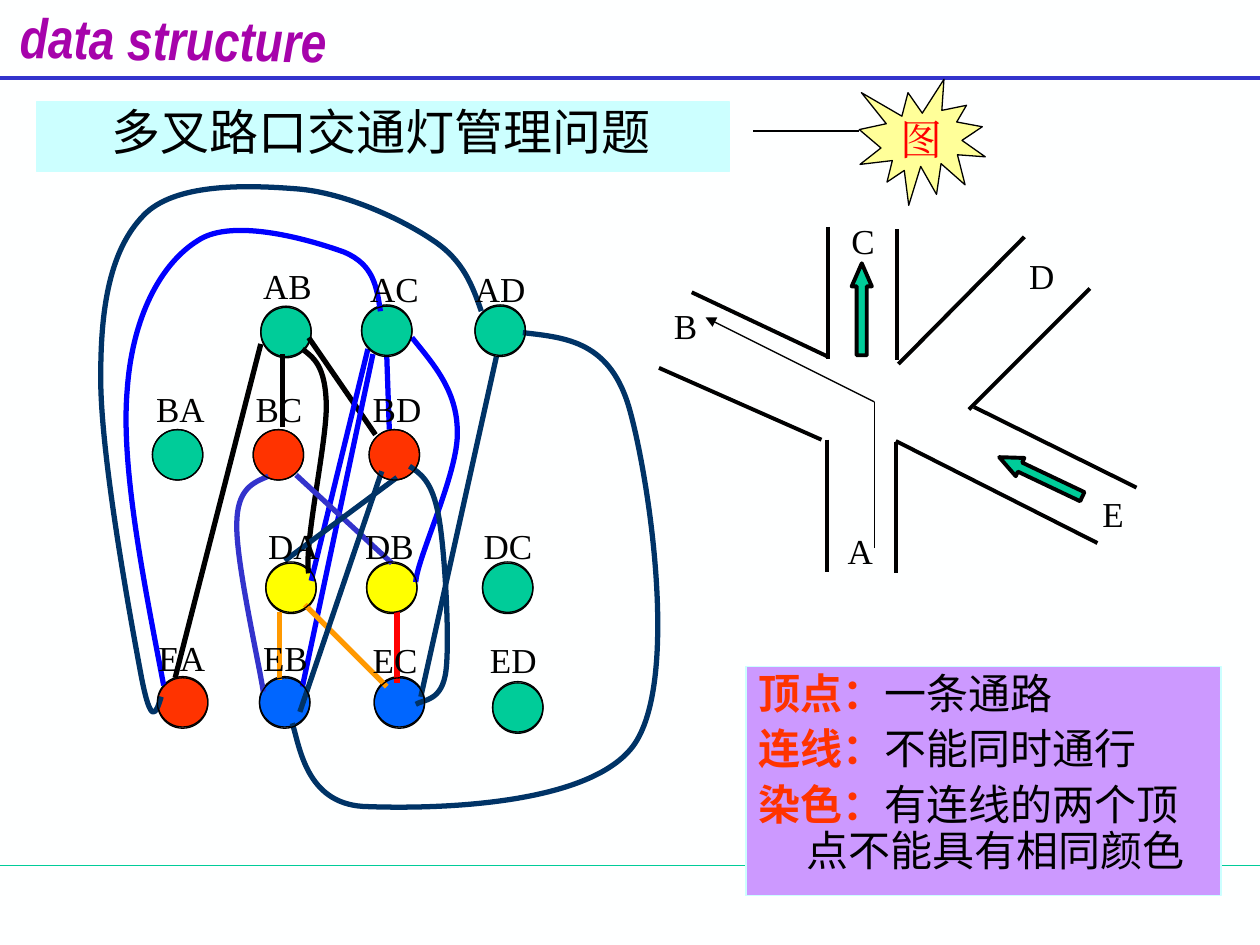
from dataclasses import dataclass

from lxml.etree import SubElement
from pptx import Presentation
from pptx.dml.color import RGBColor
from pptx.enum.shapes import MSO_CONNECTOR, MSO_SHAPE
from pptx.enum.text import MSO_ANCHOR, MSO_AUTO_SIZE, PP_ALIGN
from pptx.oxml.ns import qn
from pptx.util import Inches, Pt


@dataclass(frozen=True)
class Theme:
    paper: str = "FEFFFF"
    ink: str = "000000"
    title: str = "A603AB"
    header_rule: str = "3333CC"
    green: str = "00CC99"
    red: str = "FF3300"
    yellow: str = "FFFF00"
    sky: str = "0066FF"
    blue: str = "0000FF"
    navy: str = "003366"
    orange: str = "FF9900"
    bright_red: str = "FF0000"
    pale_cyan: str = "CCFFFF"
    pale_yellow: str = "FFFF99"
    violet: str = "CC99FF"
    latin: str = "Times New Roman"
    narrow: str = "Arial Narrow"
    chinese: str = "Noto Sans CJK SC"
    title_size: int = 32
    heading_size: int = 28
    body_size: int = 24
    label_size: int = 20
    hairline: float = 0.75
    road: float = 2.25
    edge: float = 3


THEME = Theme()
COLUMNS, ROWS = 100, 75
WIDTH, HEIGHT = Inches(10), Inches(7.5)
NODE_SIZE = 4
LABEL_HEIGHT = 4.4
LETTER_WIDTHS = {"A": 2, "B": 1.85, "C": 1.85, "D": 2, "E": 1.7}

NODES = [
    ("AB", THEME.green, 20.7, 24.4, 24.3, 19.9, 20.5),
    ("AC", THEME.green, 28.7, 24.2, 24.3, 28.4, 20.7),
    ("AD", THEME.green, 37.7, 24.2, 24.3, 36.7, 20.7),
    ("BA", THEME.green, 12.1, 34.1, 34.1, 11.4, 30.3),
    ("BC", THEME.red, 20.1, 34.1, 34.1, 19.3, 30.3),
    ("BD", THEME.red, 29.3, 34.1, 34.1, 28.6, 30.3),
    ("DA", THEME.yellow, 21.1, 44.7, 44.6, 20.3, 41.1),
    ("DB", THEME.yellow, 29.1, 44.7, 44.6, 28, 41.1),
    ("DC", THEME.green, 38.3, 44.7, 44.6, 37.4, 41.1),
    ("EA", THEME.red, 12.5, 53.7, 53.8, 11.6, 50),
    ("EB", THEME.sky, 20.6, 53.7, 53.8, 19.9, 50),
    ("EC", THEME.sky, 29.7, 53.7, 53.8, 28.6, 50.2),
    ("ED", THEME.green, 39.1, 54.2, 54.1, 37.9, 50.2),
]

EDGES = [
    (THEME.ink, [(20.7, 27.3), (13.9, 53.8)]),
    (THEME.ink, [(22.4, 28.1), (22.4, 33.9)]),
    (THEME.ink, [(24, 27.7), (24.9, 28.4), (25.8, 29), (25.9, 32),
                 (26, 34.9), (24.1, 43.2), (24.5, 45.5)]),
    (THEME.ink, [(24.5, 26.8), (29.8, 34.5)]),
    (THEME.blue, [(30.2, 24.7), (29.9, 22.8), (29.7, 21), (27.3, 20),
                  (24.8, 19.1), (18.5, 17.2), (15.7, 19.1),
                  (12.8, 20.9), (10.5, 25.1), (10.1, 31),
                  (9.6, 36.9), (11.3, 45.6), (13, 54.4)]),
    (THEME.blue, [(30.7, 28.3), (30.9, 34.1)]),
    (THEME.blue, [(32.7, 26.8), (34.4, 28.9), (36.3, 31), (36.3, 34.3),
                  (36.4, 37.5), (33.1, 44.3), (33, 46.2)]),
    (THEME.blue, [(29.2, 27.7), (24.7, 46.1)]),
    (THEME.blue, [(29.6, 28.1), (24, 54.5)]),
    (THEME.navy, [(38.2, 24.7), (37.5, 22.7), (36.8, 20.7), (34.4, 19.1),
                  (31.9, 17.4), (27.4, 15.3), (23.6, 15),
                  (19.8, 14.7), (14.2, 14.5), (11.6, 16.9),
                  (9, 19.4), (8, 23.6), (8, 29.7),
                  (7.9, 35.8), (10.4, 49.3), (11.2, 53.6),
                  (12, 57.8), (12.4, 56.6), (12.8, 55.3)]),
    (THEME.navy, [(39.4, 28.3), (33.4, 55.3)]),
    (THEME.navy, [(41.5, 26.4), (45, 26.8), (48.5, 27.1), (50, 32.6),
                  (51.5, 38), (53.9, 53.7), (50.4, 59),
                  (46.9, 64.2), (33.3, 64.2), (28.8, 64),
                  (24.3, 63.7), (23.8, 59.3), (23.2, 57.4)]),
    (THEME.header_rule, [(23.5, 37.7), (31.1, 44.7)]),
    (THEME.header_rule, [(21.3, 37.8), (20.1, 38.3), (18.8, 38.8), (18.8, 41.6),
                         (18.7, 44.5), (20.6, 52.8), (20.9, 54.9)]),
    (THEME.orange, [(22.2, 48.6), (22.2, 54)]),
    (THEME.orange, [(24.2, 48), (30.7, 54.5)]),
    (THEME.bright_red, [(31.5, 48.6), (31.5, 54.2)]),
    (THEME.navy, [(22.6, 44.5), (31.5, 37.9)]),
    (THEME.navy, [(32.5, 37), (33.4, 37.6), (34.3, 38.2), (34.8, 40.9),
                  (35.3, 43.5), (35.7, 50.7), (35.4, 53.2),
                  (35.1, 55.7), (33.6, 55.5), (33, 55.9)]),
    (THEME.navy, [(30.3, 37.4), (23.8, 56.5)]),
]

ROADSIDES = [
    ((65.7, 18), (65.7, 28.5)), ((71.2, 18.2), (71.2, 28.6)),
    ((65.6, 34.9), (65.6, 45.4)), ((71.1, 35.1), (71.1, 45.5)),
    ((65.7, 28.3), (54.9, 23.2)), ((65.2, 34.9), (52.3, 29.2)),
    ((76.9, 32.5), (86.5, 22.9)), ((77.3, 32.3), (90.2, 38.7)),
    ((71.1, 35), (87.1, 43.1)), ((71.3, 28.9), (81.3, 18.8)),
]
ROAD_NAMES = [("C", 66.6, 16.9), ("E", 86.5, 38.6), ("D", 80.7, 19.7),
              ("A", 66.3, 41.5), ("B", 52.5, 23.7)]
NOTES = [("顶点：", "一条通路"), ("连线：", "不能同时通行"),
         ("染色：", "有连线的两个顶点不能具有相同颜色")]


def across(columns):
    return round(WIDTH * columns / COLUMNS)


def down(rows):
    return round(HEIGHT * rows / ROWS)


def place(point):
    return across(point[0]), down(point[1])


def frame(left, top, width, height):
    return across(left), down(top), across(width), down(height)


def color(code):
    return RGBColor.from_string(code)


def add_span(para, text, size, code, face, bold=False, italic=False):
    span = para.add_run()
    span.text = text
    font = span.font
    font.name, font.size, font.bold, font.italic = face, Pt(size), bold, italic
    font.color.rgb = color(code)
    SubElement(font._element, qn("a:ea"), typeface=face)


def set_hanging(para, left, hang):
    properties = para._p.get_or_add_pPr()
    properties.set("marL", str(across(left)))
    properties.set("indent", str(-across(hang)))
    para.alignment = PP_ALIGN.LEFT
    para.line_spacing = 0.9


def add_figure(page, kind, area, fill, line=THEME.ink, weight=THEME.hairline):
    shape = page.shapes.add_shape(kind, *frame(*area))
    shape.shadow.inherit = False
    if fill:
        shape.fill.solid()
        shape.fill.fore_color.rgb = color(fill)
    else:
        shape.fill.background()
    shape.line.color.rgb = color(line)
    shape.line.width = Pt(weight)
    shape.text_frame.vertical_anchor = MSO_ANCHOR.TOP
    return shape


def add_line(page, start, end, code=THEME.ink, weight=THEME.hairline, arrow=False):
    line = page.shapes.add_connector(MSO_CONNECTOR.STRAIGHT, *place(start), *place(end))
    line.line.color.rgb = color(code)
    line.line.width = Pt(weight)
    if arrow:
        SubElement(line.line._get_or_add_ln(), qn("a:tailEnd"), type="triangle")
    SubElement(line._element.spPr, qn("a:effectLst"))


def add_curve(page, points, code, weight):
    builder = page.shapes.build_freeform(*place(points[0]))
    builder.add_line_segments([place(point) for point in points[1:]], close=False)
    curve = builder.convert_to_shape()
    curve.shadow.inherit = False
    curve.fill.background()
    curve.line.color.rgb = color(code)
    curve.line.width = Pt(weight)
    steps = curve._element.xpath(".//a:lnTo")
    for first in range(0, len(steps), 3):
        bezier = SubElement(steps[first].getparent(), qn("a:cubicBezTo"))
        for step in steps[first:first + 3]:
            bezier.append(step[0])
            step.getparent().remove(step)


def add_label(page, text, left, top):
    width = 2 + sum(LETTER_WIDTHS[letter] for letter in text)
    box = page.shapes.add_textbox(*frame(left, top, width, LABEL_HEIGHT))
    box.text_frame.word_wrap = False
    box.text_frame.auto_size = MSO_AUTO_SIZE.SHAPE_TO_FIT_TEXT
    add_span(box.text_frame.paragraphs[0], text, THEME.label_size, THEME.ink, THEME.latin)


def add_header(page):
    add_line(page, (0, 68.7), (COLUMNS, 68.7), THEME.green)
    add_line(page, (0, 6.2), (COLUMNS, 6.2), THEME.header_rule, THEME.road)
    box = page.shapes.add_textbox(*frame(1.6, -0.1, 27, 5.4))
    box.rotation = 0.8
    box.text_frame.word_wrap = True
    box.text_frame.margin_left = box.text_frame.margin_right = 0
    add_span(box.text_frame.paragraphs[0], "data structure", THEME.title_size,
             THEME.title, THEME.narrow, bold=True, italic=True)
    heading = add_figure(page, MSO_SHAPE.RECTANGLE, (2.9, 8.1, 55, 5.5),
                         THEME.pale_cyan, THEME.pale_cyan)
    para = heading.text_frame.paragraphs[0]
    set_hanging(para, 8.1, 3.1)
    add_span(para, "多叉路口交通灯管理问题", THEME.heading_size, THEME.ink, THEME.chinese)


def add_crossing(page):
    for start, end in ROADSIDES:
        add_line(page, start, end, weight=THEME.road)
    for left, top, turn in [(67.6, 20.9, 0), (81.8, 34.2, 295.4)]:
        arrow = add_figure(page, MSO_SHAPE.UP_ARROW, (left, top, 1.6, 7.3),
                           THEME.green, weight=THEME.road)
        arrow.adjustments[1] = 1.146
        arrow.rotation = turn
    for name in ROAD_NAMES:
        add_label(page, *name)


def add_graph(page):
    for _, fill, left, top, *_ in NODES:
        add_figure(page, MSO_SHAPE.OVAL, (left, top, NODE_SIZE, NODE_SIZE), fill)
    for code, points in EDGES:
        if len(points) == 2:
            add_line(page, *points, code, THEME.edge)
        else:
            add_curve(page, points, code, THEME.edge)
    for name, _, left, _, ring_top, label_left, label_top in NODES:
        add_label(page, name, label_left, label_top)
        add_figure(page, MSO_SHAPE.OVAL, (left, ring_top, NODE_SIZE, NODE_SIZE), None)


def add_callout(page):
    star = add_figure(page, MSO_SHAPE.EXPLOSION1, (68.2, 6.3, 10, 10), THEME.pale_yellow)
    star.text_frame.word_wrap = False
    star.text_frame.vertical_anchor = MSO_ANCHOR.MIDDLE
    para = star.text_frame.paragraphs[0]
    para.alignment = PP_ALIGN.CENTER
    add_span(para, "图", THEME.body_size, THEME.bright_red, THEME.latin)
    add_line(page, (59.8, 10.4), (68.2, 10.4))


def add_notes(page):
    panel = add_figure(page, MSO_SHAPE.RECTANGLE, (59.2, 52.9, 37.7, 18.2),
                       THEME.violet, THEME.pale_cyan)
    for index, (term, meaning) in enumerate(NOTES):
        para = panel.text_frame.add_paragraph() if index else panel.text_frame.paragraphs[0]
        set_hanging(para, 3.8, 3.8)
        if index:
            para.space_before = Pt(6)
        add_span(para, term, THEME.body_size, THEME.red, THEME.chinese, bold=True)
        add_span(para, meaning, THEME.body_size, THEME.ink, THEME.chinese)


def main():
    deck = Presentation()
    deck.slide_width, deck.slide_height = WIDTH, HEIGHT
    page = deck.slides.add_slide(deck.slide_layouts[6])
    page.background.fill.solid()
    page.background.fill.fore_color.rgb = color(THEME.paper)
    add_header(page)
    add_crossing(page)
    add_graph(page)
    add_callout(page)
    add_line(page, (69.4, 43.5), (69.4, 31.9))
    add_line(page, (69.4, 31.9), (56, 25.2), arrow=True)
    add_notes(page)
    deck.save("out.pptx")


if __name__ == "__main__":
    main()
